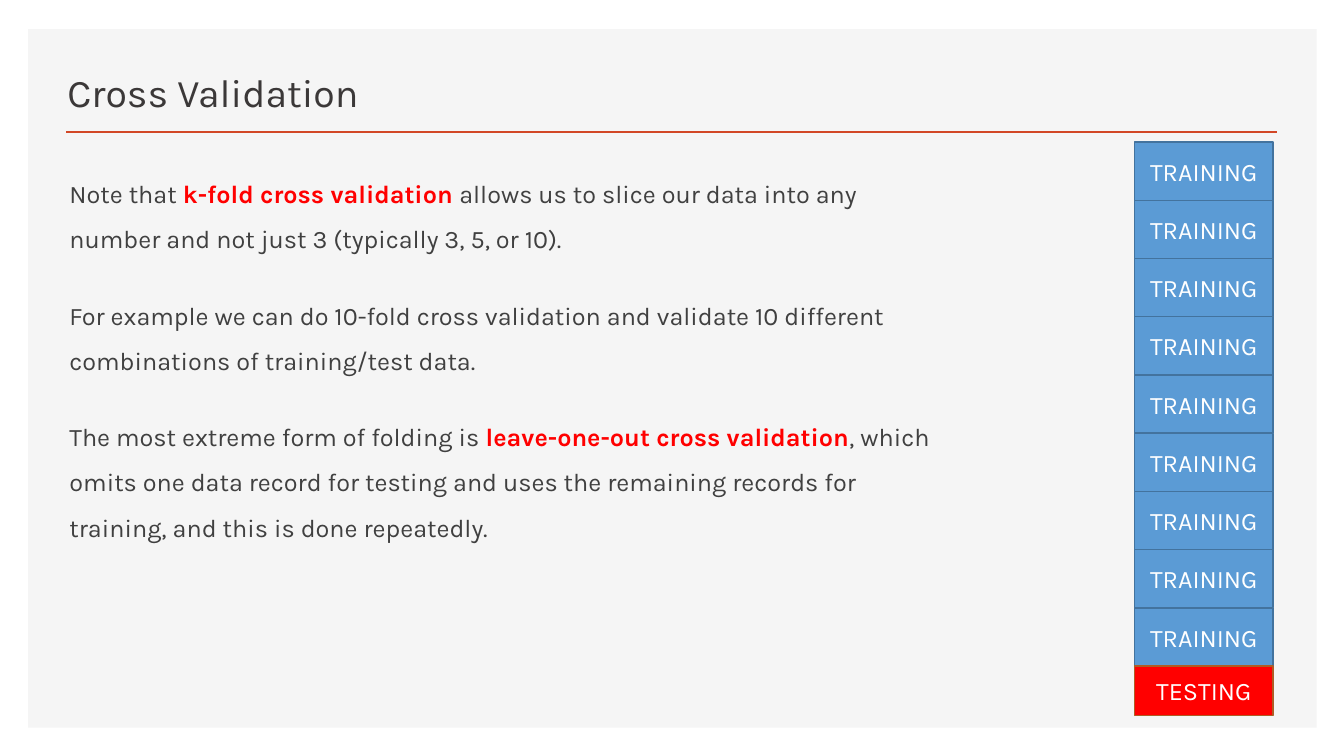
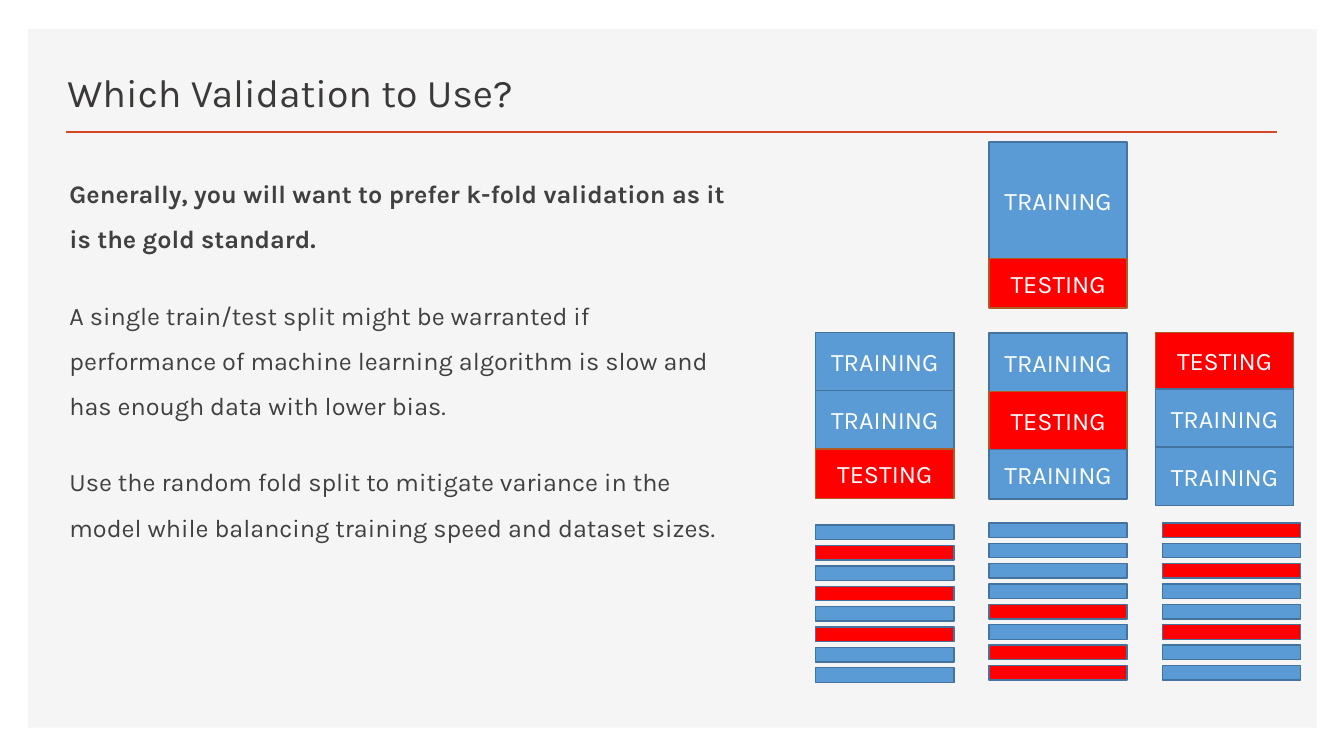
"""Build two slides on choosing a validation scheme; lengths are percentages of the slide's size."""
from dataclasses import dataclass

from lxml import etree
from pptx import Presentation
from pptx.dml.color import RGBColor
from pptx.enum.shapes import MSO_CONNECTOR, MSO_SHAPE
from pptx.enum.text import MSO_ANCHOR, PP_ALIGN
from pptx.oxml.ns import qn
from pptx.util import Inches, Pt

RECT, STRAIGHT = MSO_SHAPE.RECTANGLE, MSO_CONNECTOR.STRAIGHT
LEFT, CENTER = PP_ALIGN.LEFT, PP_ALIGN.CENTER
TOP, MIDDLE, BOTTOM = MSO_ANCHOR.TOP, MSO_ANCHOR.MIDDLE, MSO_ANCHOR.BOTTOM
SLIDE_W, SLIDE_H = Inches(13.33), Inches(7.5)


@dataclass(frozen=True)
class Theme:
    font: str = "Karla"
    panel: str = "F5F5F5"
    rule: str = "D24726"
    title: str = "3B3838"
    body: str = "404040"
    label: str = "FFFFFF"
    train: str = "5B9BD5"
    train_edge: str = "43739E"
    test: str = "FF0000"
    test_edge: str = "AF5C24"
    title_size: int = 28
    text_size: int = 18


@dataclass(frozen=True)
class Box:
    left: float
    top: float
    width: float
    height: float

    def emu(self) -> tuple[int, int, int, int]:
        return across(self.left), down(self.top), across(self.width), down(self.height)


@dataclass(frozen=True)
class Grid:
    left: float = 60.69
    top: float = 18.8
    col: float = 12.9
    row: float = 7.7
    block: float = 10.28


@dataclass(frozen=True)
class Fold:
    label: str
    fill: str
    edge: str
    rows: float = 1
    gap: float = 0


@dataclass(frozen=True)
class Stack:
    col: float
    row: float
    folds: list[Fold]


@dataclass(frozen=True)
class Page:
    title: str
    paragraphs: list[str]
    text_width: float
    strong: str
    stacks: list[Stack]


THEME, GRID = Theme(), Grid()
PANEL = Box(2.1, 3.87, 95.87, 92.4)
TITLE = Box(4.28, 6.53, 56.41, 9.33)
RULE_LEFT, RULE_RIGHT, RULE_Y = 4.95, 95.05, 17.47
BODY_LEFT, BODY_TOP, BODY_HEIGHT = 4.43, 20.93, 71.87
SHORT = 0.85


def across(share: float) -> int:
    return round(SLIDE_W * share / 100)


def down(share: float) -> int:
    return round(SLIDE_H * share / 100)


def train(rows: float = 1) -> Fold:
    return Fold("TRAINING", THEME.train, THEME.train_edge, rows)


def test(rows: float = 1) -> Fold:
    return Fold("TESTING", THEME.test, THEME.test_edge, rows)


def strips(pattern: str) -> list[Fold]:
    fills = {"-": THEME.train, "x": THEME.test}
    return [Fold("", fills[mark], THEME.train_edge, 0.25, 0.1) for mark in pattern]


def write(tf, *paragraphs: str, size: int = THEME.text_size, color: str = THEME.body,
          strong: str = THEME.body, align=LEFT, anchor=TOP, leading: float = 1,
          before: float = 0, after: float = 0) -> None:
    tf.word_wrap = True
    tf.vertical_anchor = anchor
    for i, text in enumerate(paragraphs):
        p = tf.add_paragraph() if i else tf.paragraphs[0]
        p.alignment, p.line_spacing = align, leading
        p.space_before, p.space_after = Pt(before), Pt(after)
        for j, part in enumerate(text.split("**")):
            if not part:
                continue
            bold = j % 2 == 1
            r = p.add_run()
            r.text = part
            r.font.name, r.font.size, r.font.bold = THEME.font, Pt(size), bold
            r.font.color.rgb = RGBColor.from_string(strong if bold else color)


def add_block(s, box: Box, fill: str, edge: str = "", label: str = "") -> None:
    sp = s.shapes.add_shape(RECT, *box.emu())
    sp.shadow.inherit = False
    sp.fill.solid()
    sp.fill.fore_color.rgb = RGBColor.from_string(fill)
    if edge:
        sp.line.color.rgb = RGBColor.from_string(edge)
        sp.line.width = Pt(1)
    else:
        sp.line.fill.background()
    if label:
        write(sp.text_frame, label, color=THEME.label, align=CENTER, anchor=MIDDLE)


def add_rule(s) -> None:
    y = down(RULE_Y)
    line = s.shapes.add_connector(STRAIGHT, across(RULE_LEFT), y, across(RULE_RIGHT), y)
    line.line.color.rgb = RGBColor.from_string(THEME.rule)
    line.line.width = Pt(2)
    etree.SubElement(line._element.spPr, qn("a:effectLst"))


def add_stack(s, stack: Stack) -> None:
    left = GRID.left + stack.col * GRID.col
    row = stack.row
    for fold in stack.folds:
        box = Box(left, GRID.top + row * GRID.row, GRID.block, fold.rows * GRID.row)
        add_block(s, box, fold.fill, fold.edge, fold.label)
        row += fold.rows + fold.gap


def add_page(prs, page: Page) -> None:
    s = prs.slides.add_slide(prs.slide_layouts[6])
    add_block(s, PANEL, THEME.panel)
    add_rule(s)
    title = s.shapes.add_textbox(*TITLE.emu())
    write(title.text_frame, page.title, size=THEME.title_size, color=THEME.title, anchor=BOTTOM)
    body = s.shapes.add_textbox(*Box(BODY_LEFT, BODY_TOP, page.text_width, BODY_HEIGHT).emu())
    write(body.text_frame, *page.paragraphs, strong=page.strong,
          leading=1.5, before=10, after=12)
    for stack in page.stacks:
        add_stack(s, stack)


PAGES = [
    Page(
        "Cross Validation",
        ["Note that **k-fold cross validation **allows us to slice our data into any number "
         "and not just 3 (typically 3, 5, or 10).",
         "For example we can do 10-fold cross validation and validate 10 different "
         "combinations of training/test data.",
         "The most extreme form of folding is **leave-one-out cross validation**, which omits "
         "one data record for testing and uses the remaining records for training, and this "
         "is done repeatedly."],
        66.69, THEME.test,
        [Stack(1.84, 0, [train()] * 9 + [test(SHORT)])],
    ),
    Page(
        "Which Validation to Use?",
        ["**Generally, you will want to prefer k-fold validation as it is the gold standard.**",
         "A single train/test split might be warranted if performance of machine learning "
         "algorithm is slow and has enough data with lower bias.",
         "Use the random fold split to mitigate variance in the model while balancing "
         "training speed and dataset sizes."],
        50.34, THEME.body,
        [Stack(1, 0, [train(2), test(SHORT)]),
         Stack(0, 3.27, [train(), train(), test(SHORT)]),
         Stack(1, 3.28, [train(), test(), train(SHORT)]),
         Stack(1.96, 3.27, [test(0.97), train(), train()]),
         Stack(0, 6.58, strips("-x-x-x--")),
         Stack(1, 6.54, strips("----x-xx")),
         Stack(2, 6.54, strips("x-x--x--"))],
    ),
]


def main() -> None:
    prs = Presentation()
    prs.slide_width, prs.slide_height = SLIDE_W, SLIDE_H
    for page in PAGES:
        add_page(prs, page)
    prs.save("out.pptx")


if __name__ == "__main__":
    main()
